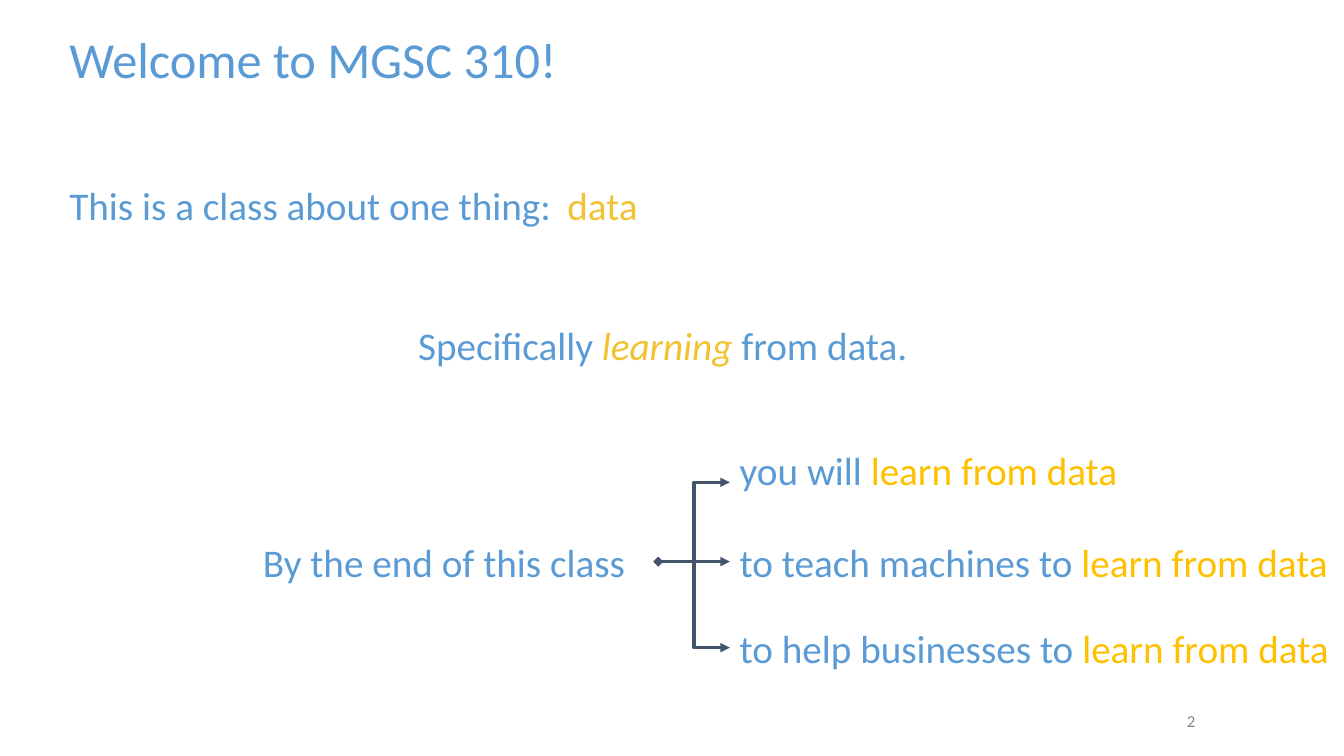
"""Build the welcome slide of a course about learning from data."""
from lxml import etree
from pptx import Presentation
from pptx.dml.color import RGBColor
from pptx.enum.shapes import MSO_CONNECTOR
from pptx.enum.text import MSO_ANCHOR, PP_ALIGN
from pptx.oxml.ns import qn
from pptx.util import Pt

ELBOW = MSO_CONNECTOR.ELBOW
TOP, MIDDLE = MSO_ANCHOR.TOP, MSO_ANCHOR.MIDDLE
LEFT, RIGHT = PP_ALIGN.LEFT, PP_ALIGN.RIGHT

FONT = "Calibri"
BLUE, GOLD, AMBER = "5B9BD5", "F1C232", "FFC000"
SLATE, GRAY = "44546A", "888888"

INSET = 7.2
LINE_HEIGHT = 48.2
FORK_X, FORK_Y = 470.2, 401.2
OUTCOME_X = 521.3


def rgb(color):
    """Turn a hex string into a colour."""
    return RGBColor.from_string(color)


def add_text(page, frame, spans, size=28, anchor=TOP, align=LEFT,
             inset_y=INSET, spacing=1.0):
    """Add a one-paragraph box of (text, colour, italic) spans."""
    box = page.shapes.add_textbox(*(Pt(length) for length in frame))
    text = box.text_frame
    text.word_wrap = True
    text.vertical_anchor = anchor
    text.margin_left = text.margin_right = Pt(INSET)
    text.margin_top = text.margin_bottom = Pt(inset_y)
    para = text.paragraphs[0]
    para.alignment = align
    para.line_spacing = spacing
    para.font.name = FONT
    para.font.size = Pt(size)
    for words, color, italic in spans:
        span = para.add_run()
        span.text = words
        span.font.color.rgb = rgb(color)
        if italic:
            span.font.italic = True


def add_branch(page, end_y):
    """Draw an elbow arrow from the fork to an outcome."""
    branch = page.shapes.add_connector(
        ELBOW, Pt(FORK_X), Pt(FORK_Y), Pt(OUTCOME_X), Pt(end_y))
    branch.line.color.rgb = rgb(SLATE)
    branch.line.width = Pt(2.25)
    properties = branch.line._get_or_add_ln()
    for tag, kind in (("a:headEnd", "diamond"), ("a:tailEnd", "triangle")):
        etree.SubElement(properties, qn(tag)).set("type", kind)
    etree.SubElement(branch._element.spPr, qn("a:effectLst"))


def add_outcome(page, top, width, height, lead, goal):
    """Add an outcome and the branch that reaches its middle."""
    add_text(page, (OUTCOME_X, top, width, height),
             [(lead, BLUE, False), (goal, AMBER, False)])
    add_branch(page, top + height / 2)


def main():
    """Build and save the slide."""
    deck = Presentation()
    deck.slide_width, deck.slide_height = Pt(960), Pt(540)
    page = deck.slides.add_slide(deck.slide_layouts[6])

    add_text(page, (645, 500.5, 216, 28.8), [("2", GRAY, False)],
             size=12, anchor=MIDDLE, align=RIGHT, inset_y=3.6)
    add_text(page, (42.5, 0, 720, 88.5),
             [("Welcome to MGSC 310!", BLUE, False)],
             size=36, anchor=MIDDLE, inset_y=3.6, spacing=0.9)

    statements = [
        (42.5, 122.4, 377.3,
         [("This is a class about one thing:", BLUE, False)]),
        (398.2, 122.4, 72, [("data", GOLD, False)]),
        (291.6, 222.5, 377.3,
         [("Specifically ", BLUE, False), ("learning ", GOLD, True),
          ("from data.", BLUE, False)]),
        (180.7, 377.3, 289.4, [("By the end of this class", BLUE, False)]),
    ]
    for left, top, width, spans in statements:
        add_text(page, (left, top, width, LINE_HEIGHT), spans)

    outcomes = [
        (311.8, 289.4, 65.5, "you will", " learn from data"),
        (377.1, 441.4, LINE_HEIGHT, "to teach machines to ", "learn from data"),
        (438.5, 441.4, LINE_HEIGHT, "to help businesses to ", "learn from data"),
    ]
    for outcome in outcomes:
        add_outcome(page, *outcome)

    deck.save("out.pptx")


if __name__ == "__main__":
    main()
